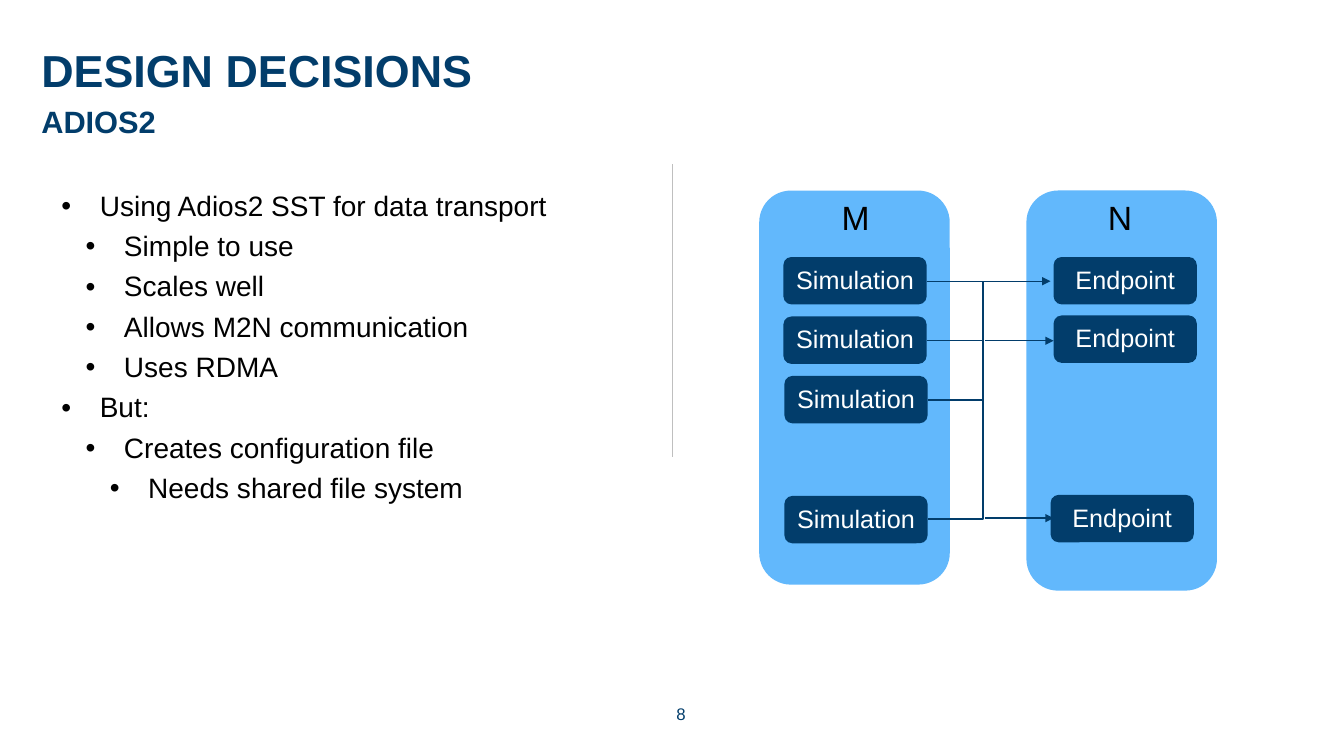
"""Build the ADIOS2 design decisions slide with its M-to-N data transport diagram."""
from lxml.etree import SubElement
from pptx import Presentation
from pptx.dml.color import RGBColor
from pptx.enum.shapes import MSO_CONNECTOR as Connector, MSO_SHAPE as Shape
from pptx.enum.text import MSO_ANCHOR as Anchor, PP_ALIGN as Align
from pptx.oxml.ns import qn
from pptx.util import Inches, Pt

NAVY, SKY, GREY, BLACK, WHITE = "023D6B", "62B8FC", "BFBFBF", "000000", "FFFFFF"


def paint(color_format, color):
    color_format.rgb = RGBColor.from_string(color)


def write(paragraph, text, size, color, spacing=0.95, bold=False):
    paragraph.line_spacing = spacing
    run = paragraph.add_run()
    run.text = text
    run.font.name = "Arial"
    run.font.size = Pt(size)
    run.font.bold = bold
    paint(run.font.color, color)


presentation = Presentation()
presentation.slide_width = Inches(13.33)
presentation.slide_height = Inches(7.5)
slide = presentation.slides.add_slide(presentation.slide_layouts[6])
shapes = slide.shapes

columns = [(10.18, 3.97), (7.53, 3.91)]
simulations = [("Simulation", 7.77, 2.55), ("Simulation", 7.77, 3.14),
               ("Simulation", 7.78, 3.73), ("Simulation", 7.78, 4.92)]
endpoints = [("Endpoint", 10.45, 2.55), ("Endpoint", 10.45, 3.13), ("Endpoint", 10.42, 4.91)]
boxes = [("", left, 1.89, 1.89, height, SKY) for left, height in columns]
boxes += [(label, left, top, 1.42, 0.47, NAVY) for label, left, top in simulations + endpoints]
for label, left, top, width, height, color in boxes:
    box = shapes.add_shape(Shape.ROUNDED_RECTANGLE, Inches(left), Inches(top),
                           Inches(width), Inches(height))
    box.shadow.inherit = False
    box.fill.solid()
    paint(box.fill.fore_color, color)
    box.line.fill.background()
    if label:
        box.text_frame.vertical_anchor = Anchor.MIDDLE
        paragraph = box.text_frame.paragraphs[0]
        paragraph.alignment = Align.CENTER
        write(paragraph, label, 18, WHITE)

for letter, left in [("M", 8.25), ("N", 10.89)]:
    heading = shapes.add_textbox(Inches(left), Inches(1.93), Inches(0.47), Inches(0.48))
    heading.text_frame.word_wrap = False
    write(heading.text_frame.paragraphs[0], letter, 24, BLACK)

texts = [
    ("DESIGN DECISIONS", 0.41, 0.35, 12.52, 1.23, 32, 1.14, True, Align.LEFT),
    ("ADIOS2", 0.41, 0.97, 9.21, 0.56, 22, 1.13, True, Align.LEFT),
    ("8", 6.36, 6.98, 0.79, 0.24, 12, 1.0, False, Align.CENTER),
]
bullets = [
    (0, "Using Adios2 SST for data transport"),
    (1, "Simple to use"),
    (1, "Scales well"),
    (1, "Allows M2N communication"),
    (1, "Uses RDMA"),
    (0, "But:"),
    (1, "Creates configuration file"),
    (2, "Needs shared file system"),
]
frames = []
for left, top, width, height in [text[1:5] for text in texts] + [(0.6, 1.89, 6.06, 2.49)]:
    frame = shapes.add_textbox(Inches(left), Inches(top), Inches(width), Inches(height)).text_frame
    frame.word_wrap = True
    frame.margin_left = frame.margin_right = frame.margin_top = frame.margin_bottom = 0
    frames.append(frame)

for frame, (text, *_, size, spacing, bold, alignment) in zip(frames, texts):
    paragraph = frame.paragraphs[0]
    paragraph.alignment = alignment
    write(paragraph, text, size, NAVY, spacing, bold)

body = frames[-1]
for index, (level, text) in enumerate(bullets):
    paragraph = body.add_paragraph() if index else body.paragraphs[0]
    paragraph.level = level
    paragraph.space_after = Pt(6)
    properties = paragraph._p.get_or_add_pPr()
    properties.set("marL", str(Inches(0.39 + 0.24 * level)))
    properties.set("indent", str(Inches(-0.38)))
    SubElement(properties, qn("a:buFont"), typeface="Arial")
    SubElement(properties, qn("a:buChar"), char="•")
    write(paragraph, text, 20, BLACK)

divider = (Connector.STRAIGHT, 6.67, 1.63, 6.67, 4.53, GREY, False)
brackets = [(Connector.ELBOW, 9.19, top, 9.2, bottom, NAVY, False)
            for top, bottom in [(2.79, 5.15), (3.38, 3.97)]]
arrows = [(Connector.STRAIGHT, left, y, left + 0.68, y, NAVY, True)
          for left, y in [(9.74, 2.79), (9.77, 3.38), (9.77, 5.14)]]
for kind, x1, y1, x2, y2, color, arrow in [divider, *brackets, *arrows]:
    connector = shapes.add_connector(kind, Inches(x1), Inches(y1), Inches(x2), Inches(y2))
    connector.line.width = Pt(1)
    paint(connector.line.color, color)
    properties = connector._element.spPr
    SubElement(properties, qn("a:effectLst"))
    if kind == Connector.ELBOW:
        guides = properties.find(qn("a:prstGeom")).get_or_add_avLst()
        bend = round(0.57 / (x2 - x1) * 100000)
        SubElement(guides, qn("a:gd"), name="adj1", fmla=f"val {bend}")
    if arrow:
        SubElement(connector.line._get_or_add_ln(), qn("a:tailEnd"), type="triangle")

presentation.save("out.pptx")
